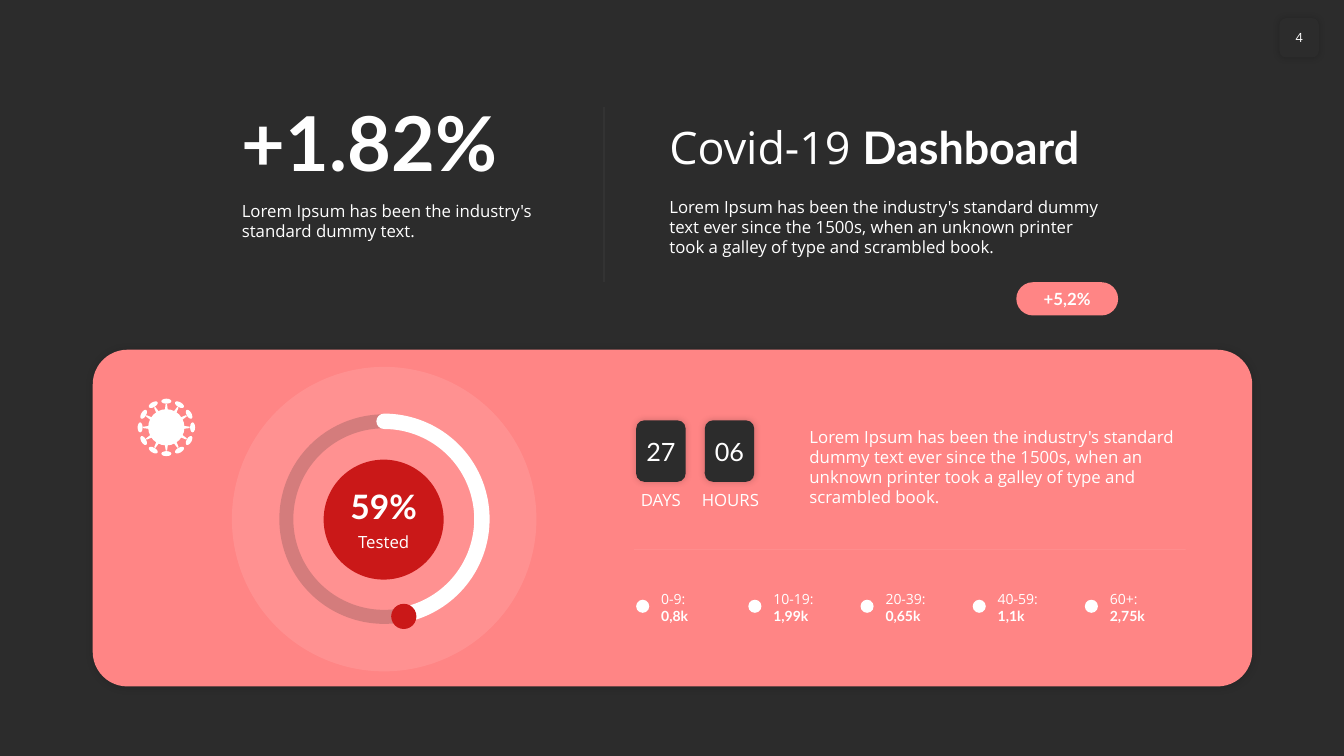
import math
import pptx
import pptx.util
import pptx.dml.color
import pptx.enum.shapes
import pptx.enum.text
import pptx.oxml
import pptx.oxml.ns

COLORS = {"dark": "2C2C2C", "white": "FFFFFF", "coral": "FF8585", "red": "CA1818", "black": "000000"}
PX = 9144
KIND = pptx.enum.shapes.MSO_SHAPE
ALIGN = pptx.enum.text.PP_ALIGN
ANCHOR = pptx.enum.text.MSO_ANCHOR
BODY, HEAD = "Open Sans", "Lato"
NS = pptx.oxml.ns.nsdecls("a")


def emu(px):
    return round(px * PX)


def rgb(name):
    return pptx.dml.color.RGBColor.from_string(COLORS[name])


class Dashboard:
    def __init__(self, width, height):
        self.deck = pptx.Presentation()
        self.deck.slide_width, self.deck.slide_height = emu(width), emu(height)
        self.slide = self.deck.slides.add_slide(self.deck.slide_layouts[6])
        self.slide.background.fill.solid()
        self.slide.background.fill.fore_color.rgb = rgb("dark")

    def set_alpha(self, fill, percent):
        color = fill._xPr.find(".//" + pptx.oxml.ns.qn("a:srgbClr"))
        color.append(pptx.oxml.parse_xml(f'<a:alpha {NS} val="{percent * 1000}"/>'))

    def shape(self, kind, x, y, w, h, fill=None, alpha=None, adjust=(), turn=0, shadow=None, parent=None):
        shape = (parent or self.slide).shapes.add_shape(kind, emu(x), emu(y), emu(w), emu(h))
        shape.shadow.inherit = False
        shape.line.fill.background()
        shape.rotation = turn
        for index, value in enumerate(adjust):
            shape.adjustments[index] = value
        if fill:
            shape.fill.solid()
            shape.fill.fore_color.rgb = rgb(fill)
            if alpha:
                self.set_alpha(shape.fill, alpha)
        else:
            shape.fill.background()
        if shadow:
            self.drop_shadow(shape, *shadow)
        return shape

    def drop_shadow(self, shape, alpha, blur, distance):
        effects = shape._element.spPr.find(pptx.oxml.ns.qn("a:effectLst"))
        effects.append(pptx.oxml.parse_xml(
            f'<a:outerShdw {NS} blurRad="{pptx.util.Pt(blur)}" dist="{pptx.util.Pt(distance)}"'
            f' dir="2700000" algn="tl" rotWithShape="0"><a:srgbClr val="{COLORS["black"]}">'
            f'<a:alpha val="{alpha * 1000}"/></a:srgbClr></a:outerShdw>'))

    def stroke(self, line, color, width, alpha=None):
        line.fill.solid()
        line.fill.fore_color.rgb = rgb(color)
        line.width = pptx.util.Pt(width)
        if alpha:
            self.set_alpha(line.fill, alpha)

    def rule(self, x1, y1, x2, y2):
        straight = pptx.enum.shapes.MSO_CONNECTOR.STRAIGHT
        rule = self.slide.shapes.add_connector(straight, emu(x1), emu(y1), emu(x2), emu(y2))
        self.stroke(rule.line, "white", 0.5, 10)
        rule._element.spPr.append(pptx.oxml.parse_xml(f"<a:effectLst {NS}/>"))

    def style(self, run, size, font, bold):
        run.font.size = pptx.util.Pt(size)
        run.font.name = font
        run.font.bold = bold
        run.font.color.rgb = rgb("white")

    def label(self, shape, text, size, font, bold=False, margin=5, wrap=True):
        frame = shape.text_frame
        frame.margin_left = frame.margin_right = 0
        frame.margin_top = frame.margin_bottom = emu(margin)
        frame.vertical_anchor = ANCHOR.MIDDLE
        frame.word_wrap = wrap
        frame.text = text
        frame.paragraphs[0].alignment = ALIGN.CENTER
        self.style(frame.paragraphs[0].runs[0], size, font, bold)

    def text(self, x, y, w, h, lines, size, anchor=ANCHOR.TOP, align=ALIGN.LEFT, side=10):
        frame = self.slide.shapes.add_textbox(emu(x), emu(y), emu(w), emu(h)).text_frame
        frame.word_wrap = True
        frame.auto_size = pptx.enum.text.MSO_AUTO_SIZE.SHAPE_TO_FIT_TEXT
        frame.vertical_anchor = anchor
        frame.margin_left = frame.margin_right = emu(side)
        frame.margin_top = frame.margin_bottom = emu(5)
        for index, parts in enumerate(lines):
            paragraph = frame.add_paragraph() if index else frame.paragraphs[0]
            paragraph.alignment = align
            for words, font in parts:
                run = paragraph.add_run()
                run.text = words
                self.style(run, size, font, font == HEAD)

    def virus(self, center_x, center_y):
        group = self.slide.shapes.add_group_shape()
        self.shape(KIND.OVAL, center_x - 18, center_y - 18, 36, 36, "white", parent=group)
        spike_parts = [(KIND.OVAL, 26, 10, 5, ()), (KIND.TRAPEZOID, 20, 3, 6, (0.266,))]
        for turn in range(0, 360, 30):
            angle = math.radians(turn)
            for kind, radius, w, h, adjust in spike_parts:
                x = center_x + radius * math.sin(angle) - w / 2
                y = center_y - radius * math.cos(angle) - h / 2
                self.shape(kind, x, y, w, h, "white", adjust=adjust, turn=turn, parent=group)


def main():
    board = Dashboard(1333, 750)
    soft = (20, 5, 0)
    short_copy = "Lorem Ipsum has been the industry's standard dummy text."
    long_copy = ("Lorem Ipsum has been the industry's standard dummy text ever since the 1500s, "
                 "when an unknown printer took a galley of type and scrambled book.")

    page = board.shape(KIND.ROUNDED_RECTANGLE, 1269, 18, 39, 39, "dark", shadow=soft)
    board.label(page, "4", 9, BODY, wrap=False)
    board.text(230, 89, 336, 101, [[("+1.82%", HEAD)]], 54, ANCHOR.BOTTOM)
    board.text(230, 194, 336, 50, [[(short_copy, BODY)]], 12)
    board.text(654, 113, 455, 64, [[("Covid-19 ", BODY), ("Dashboard", HEAD)]], 32, ANCHOR.BOTTOM)
    board.text(654, 190, 455, 71, [[(long_copy, BODY)]], 12)
    growth = board.shape(KIND.ROUNDED_RECTANGLE, 1008, 280, 101, 33, "coral", adjust=(0.5,))
    board.label(growth, "+5,2%", 12, HEAD, True, margin=0)

    board.shape(KIND.ROUNDED_RECTANGLE, 92, 347, 1150, 334, "coral", adjust=(0.103,), shadow=(15, 6, 1))
    board.shape(KIND.OVAL, 230, 364, 302, 302, "white", alpha=10)
    board.shape(KIND.OVAL, 321, 456, 119, 119, "red")
    track = board.shape(KIND.OVAL, 284, 418, 194, 194)
    board.stroke(track.line, "dark", 10, 20)
    progress = board.shape(KIND.ARC, 284, 418, 194, 194, adjust=(162, 44.96))
    board.stroke(progress.line, "white", 11)
    progress.line._ln.set("cap", "rnd")
    board.shape(KIND.OVAL, 388, 599, 25, 25, "red")
    board.text(321, 477, 119, 50, [[("59%", HEAD)]], 24, ANCHOR.BOTTOM, ALIGN.CENTER)
    board.text(321, 523, 119, 30, [[("Tested", BODY)]], 12, align=ALIGN.CENTER)
    board.virus(165, 424)

    counters = [("27", "DAYS", 631, 626, 59), ("06", "HOURS", 699, 691, 67)]
    for count, unit, card_x, unit_x, unit_width in counters:
        card = board.shape(KIND.ROUNDED_RECTANGLE, card_x, 417, 49, 61, "dark", shadow=soft)
        board.label(card, count, 18, HEAD)
        board.text(unit_x, 481, unit_width, 30, [[(unit, BODY)]], 12, align=ALIGN.CENTER, side=4)
    board.text(793, 418, 382, 91, [[(long_copy, BODY)]], 12)

    ages = [("0-9:", "0,8k"), ("10-19:", "1,99k"), ("20-39:", "0,65k"), ("40-59:", "1,1k"), ("60+:", "2,75k")]
    for index, (age, cases) in enumerate(ages):
        x = 631 + index * 445 / 4
        board.shape(KIND.OVAL, x, 595, 13, 13, "white")
        board.text(x + 15, 581, 80, 44, [[(age, BODY)], [(cases, HEAD)]], 10, ANCHOR.MIDDLE)

    board.rule(629, 545, 1176, 545)
    board.rule(599, 280, 599, 106)
    board.deck.save("out.pptx")


if __name__ == "__main__":
    main()
